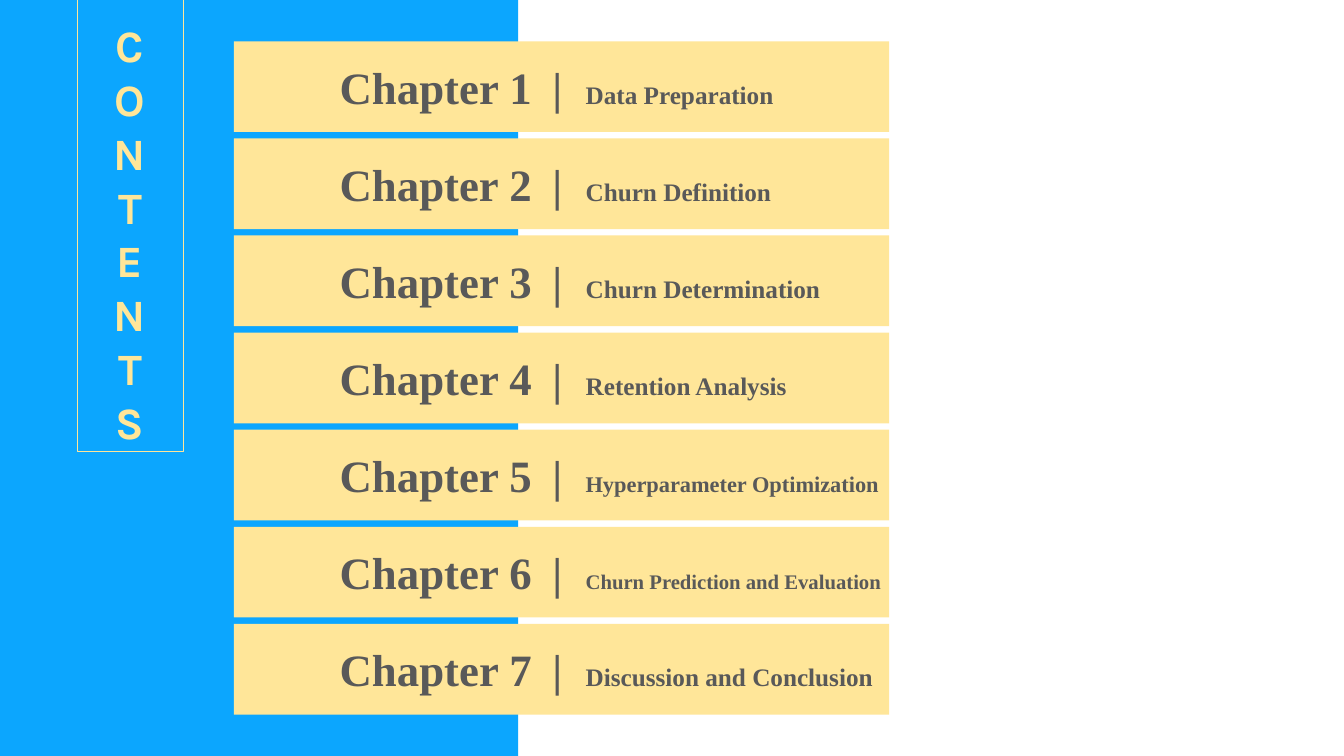
from lxml.etree import SubElement
from pptx import Presentation
from pptx.dml.color import RGBColor
from pptx.enum.shapes import MSO_SHAPE
from pptx.enum.text import MSO_AUTO_SIZE, PP_ALIGN
from pptx.oxml.ns import qn
from pptx.util import Inches, Pt

THEME = {
    "blue": RGBColor.from_string("0CA6FE"),
    "cream": RGBColor.from_string("FFE699"),
    "gray": RGBColor.from_string("595959"),
    "heading_font": "Karla",
    "body_font": "Times New Roman",
    "large": 32,
    "topic": 18,
    "topic_small": 16,
    "topic_smallest": 14.8,
}

CHAPTERS = [
    ("Data Preparation", "topic", 4.55),
    ("Churn Definition", "topic", 4.53),
    ("Churn Determination", "topic", 5.02),
    ("Retention Analysis", "topic", 4.69),
    ("Hyperparameter Optimization", "topic_small", 5.62),
    ("Churn Prediction and Evaluation", "topic_smallest", 5.58),
    ("Discussion and Conclusion", "topic", 5.55),
]
ROW_TOP = 0.41
ROW_STEP = 5.78 / 6
LABEL_OFFSET = 0.13
TAB_STOPS = (2.11, 2.44)


def add_rect(shapes, left, top, width, height, fill=None, line=None):
    sp = shapes.add_shape(MSO_SHAPE.RECTANGLE, Inches(left), Inches(top),
                          Inches(width), Inches(height))
    sp.shadow.inherit = False
    if fill:
        sp.fill.solid()
        sp.fill.fore_color.rgb = THEME[fill]
    else:
        sp.fill.background()
    if line:
        sp.line.color.rgb = THEME[line]
        sp.line.width = Pt(1)
    else:
        sp.line.fill.background()


def add_run(p, text, size="large", font="body_font", color="gray"):
    r = p.add_run()
    r.text = text
    r.font.name = THEME[font]
    r.font.size = Pt(THEME[size])
    r.font.bold = True
    r.font.color.rgb = THEME[color]


prs = Presentation()
prs.slide_width = Inches(13.33)
prs.slide_height = Inches(7.5)
s = prs.slides.add_slide(prs.slide_layouts[6])

add_rect(s.shapes, 0, 0, 5.14, 7.5, fill="blue")

bars = s.shapes.add_group_shape()
for i in range(len(CHAPTERS)):
    add_rect(bars.shapes, 2.32, ROW_TOP + i * ROW_STEP, 6.5, 0.9, fill="cream")

tb = s.shapes.add_textbox(Inches(1.02), Inches(0.13), Inches(0.54), Inches(4.41))
tf = tb.text_frame
tf.word_wrap = False
tf.auto_size = MSO_AUTO_SIZE.SHAPE_TO_FIT_TEXT
for i, letter in enumerate("CONTENTS"):
    p = tf.add_paragraph() if i else tf.paragraphs[0]
    p.alignment = PP_ALIGN.CENTER
    add_run(p, letter, font="heading_font", color="cream")

add_rect(s.shapes, 0.77, -0.17, 1.05, 4.65, line="cream")

for i, (topic, size, width) in enumerate(CHAPTERS):
    tb = s.shapes.add_textbox(Inches(3.27), Inches(ROW_TOP + LABEL_OFFSET + i * ROW_STEP),
                              Inches(width), Inches(0.64))
    tf = tb.text_frame
    tf.word_wrap = False
    tf.auto_size = MSO_AUTO_SIZE.SHAPE_TO_FIT_TEXT
    p = tf.paragraphs[0]
    p.alignment = PP_ALIGN.LEFT
    tabs = SubElement(p._p.get_or_add_pPr(), qn("a:tabLst"))
    for stop in TAB_STOPS:
        SubElement(tabs, qn("a:tab"), pos=str(Inches(stop)), algn="l")
    add_run(p, f"Chapter {i + 1}\t|\t")
    add_run(p, topic, size=size)

prs.save("out.pptx")
